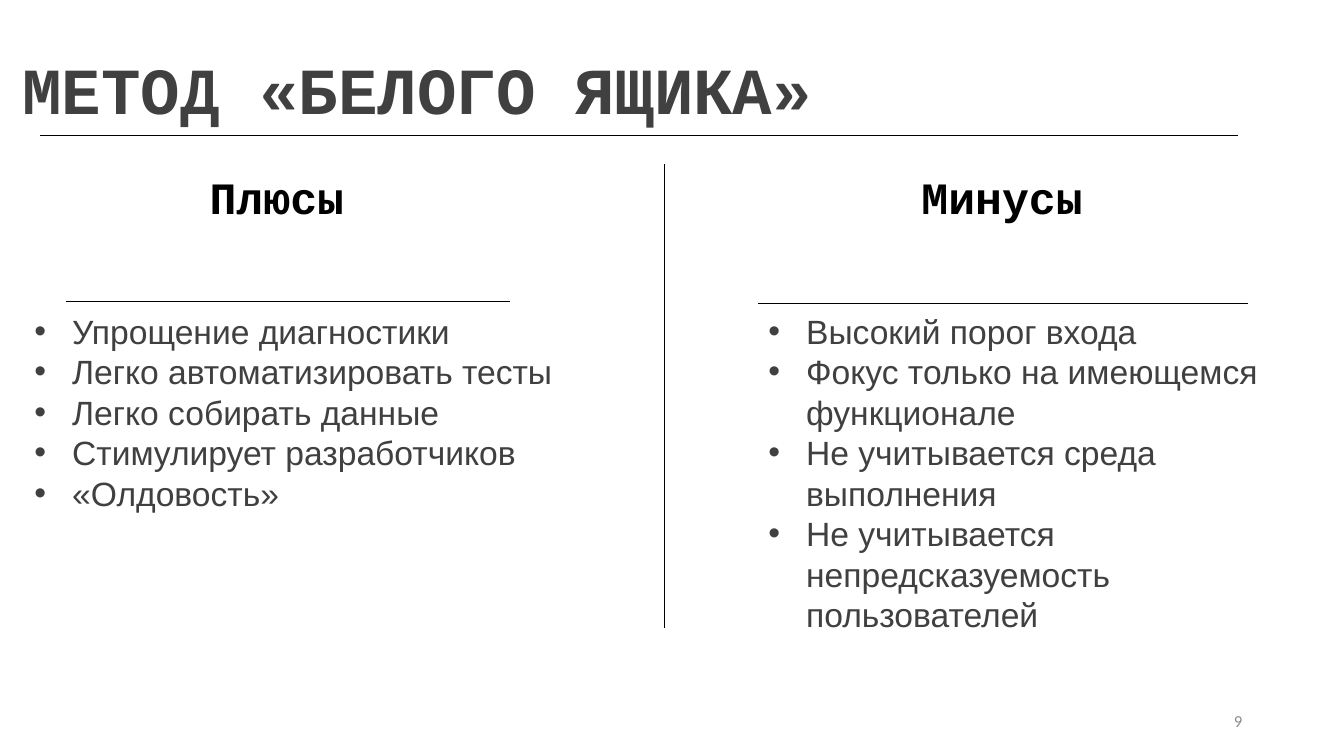
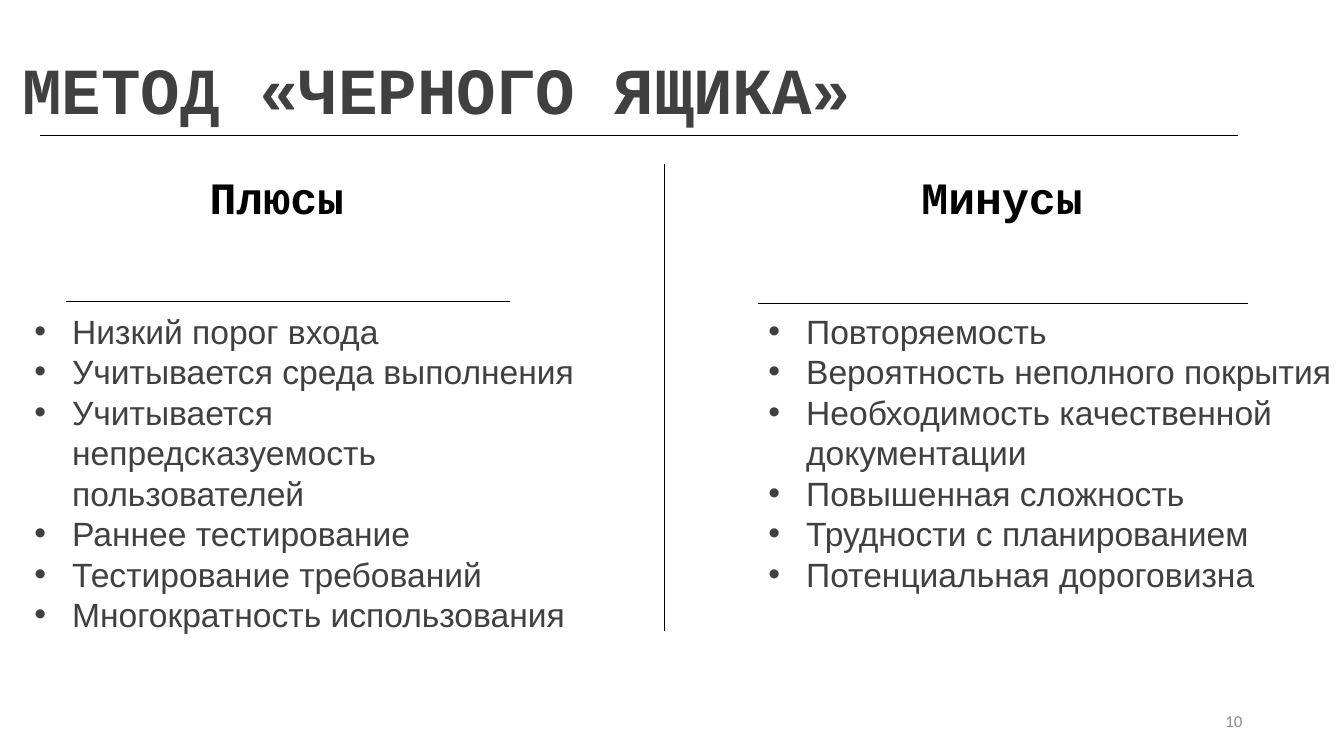
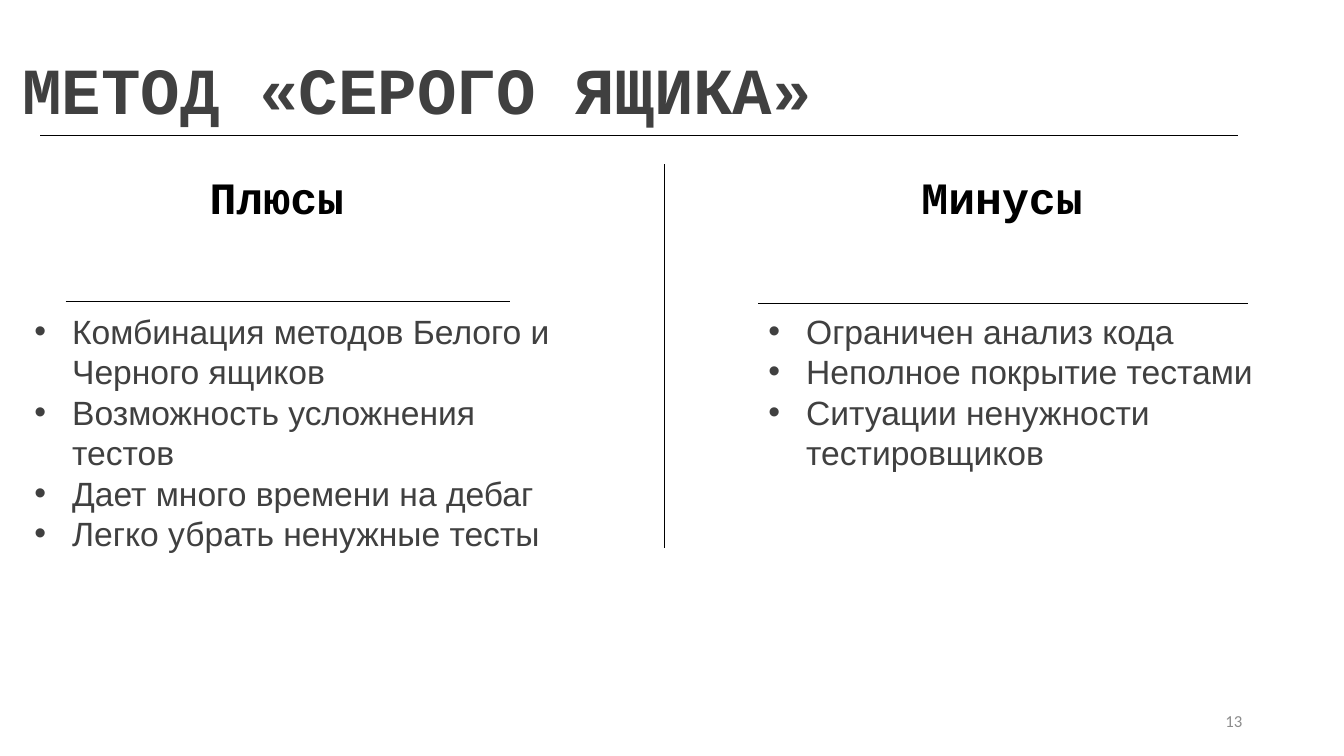
import pptx
import pptx.util
import pptx.dml.color
import pptx.enum.shapes
import pptx.enum.text
import pptx.oxml
import pptx.oxml.ns
from dataclasses import dataclass
from lxml import etree

ALIGN = pptx.enum.text.PP_ALIGN
ANCHOR = pptx.enum.text.MSO_ANCHOR
COMPARISON_LAYOUT = 4

# Content: one entry per slide
SLIDES = [
    {
        "title": "МЕТОД «БЕЛОГО ЯЩИКА»",
        "number": "9",
        "divider_end": 623,
        "pros": [
            "Упрощение диагностики",
            "Легко автоматизировать тесты",
            "Легко собирать данные",
            "Стимулирует разработчиков",
            "«Олдовость»",
        ],
        "cons": [
            "Высокий порог входа",
            "Фокус только на имеющемся функционале",
            "Не учитывается среда выполнения",
            "Не учитывается непредсказуемость пользователей",
        ],
    },
    {
        "title": "МЕТОД «ЧЕРНОГО ЯЩИКА»",
        "number": "10",
        "divider_end": 626,
        "pros": [
            "Низкий порог входа",
            "Учитывается среда выполнения",
            "Учитывается непредсказуемость пользователей",
            "Раннее тестирование",
            "Тестирование требований",
            "Многократность использования",
        ],
        "cons": [
            "Повторяемость",
            "Вероятность неполного покрытия",
            "Необходимость качественной документации",
            "Повышенная сложность",
            "Трудности с планированием",
            "Потенциальная дороговизна",
        ],
    },
    {
        "title": "МЕТОД «СЕРОГО ЯЩИКА»",
        "number": "13",
        "divider_end": 544,
        "pros": [
            "Комбинация методов Белого и Черного ящиков",
            "Возможность усложнения тестов",
            "Дает много времени на дебаг",
            "Легко убрать ненужные тесты",
        ],
        "cons": [
            "Ограничен анализ кода",
            "Неполное покрытие тестами",
            "Ситуации ненужности тестировщиков",
        ],
    },
]

# Columns: placeholder indexes, boxes (left, top, width, height), rule (x1, x2, y)
COLUMNS = [
    {"key": "pros", "heading": "Плюсы ", "heading_index": 1, "list_index": 2,
     "heading_box": (197, 163, 182, 64), "list_box": (24, 303, 556, 374),
     "rule": (65, 506, 299)},
    {"key": "cons", "heading": "Минусы", "heading_index": 3, "list_index": 4,
     "heading_box": (903, 163, 182, 64), "list_box": (752, 303, 579, 353),
     "rule": (752, 1238, 301)},
]

PAGE_SIZE = (1333, 750)
TITLE_BOX = (12, 43, 1200, 89)
NUMBER_BOX = (942, 695, 300, 40)
TITLE_RULE = (40, 134, 1228, 134)
DIVIDER_X, DIVIDER_TOP = 659, 163
LIST_RIGHT_INSET = 7


@dataclass(frozen=True)
class TextStyle:
    font: str
    size: int
    color: str
    bold: bool = False
    align: ALIGN = ALIGN.LEFT
    line_points: float = 0


class Theme:
    background = "FFFFFF"
    line = "000000"
    line_width = 0.5
    title = TextStyle("Courier New", 47, "404040", bold=True)
    heading = TextStyle("Courier New", 32, "000000", bold=True, align=ALIGN.CENTER)
    bullets = TextStyle("Arial", 24, "404040", line_points=28.9)
    number = TextStyle("Calibri", 12, "8C8C8C", align=ALIGN.RIGHT)


def px(length):
    """Turn px, 100 to the inch, into EMU."""
    return pptx.util.Emu(length * 9144)


def rgb(value):
    return pptx.dml.color.RGBColor.from_string(value)


def place(shape, box):
    shape.left, shape.top, shape.width, shape.height = map(px, box)


def write(shape, lines, style, anchor=ANCHOR.TOP, wrap=True):
    frame = shape.text_frame
    frame.text = "\n".join(lines)
    frame.auto_size = pptx.enum.text.MSO_AUTO_SIZE.NONE
    frame.word_wrap = wrap
    frame.vertical_anchor = anchor
    for para in frame.paragraphs:
        para.alignment = style.align
        para.space_before = pptx.util.Pt(0)
        if style.line_points:
            para.line_spacing = pptx.util.Pt(style.line_points)
        para.font.name = style.font
        para.font.size = pptx.util.Pt(style.size)
        para.font.bold = style.bold
        para.font.color.rgb = rgb(style.color)


def add_rule(page, x1, y1, x2, y2):
    straight = pptx.enum.shapes.MSO_CONNECTOR.STRAIGHT
    rule = page.shapes.add_connector(straight, *map(px, (x1, y1, x2, y2)))
    rule.line.color.rgb = rgb(Theme.line)
    rule.line.width = pptx.util.Pt(Theme.line_width)
    etree.SubElement(rule.element.spPr, pptx.oxml.ns.qn("a:effectLst"))


def add_column(page, column, items):
    heading = page.placeholders[column["heading_index"]]
    place(heading, column["heading_box"])
    write(heading, [column["heading"]], Theme.heading, wrap=False)

    bullets = page.placeholders[column["list_index"]]
    place(bullets, column["list_box"])
    write(bullets, items, Theme.bullets)
    bullets.text_frame.margin_right = px(LIST_RIGHT_INSET)

    start, end, y = column["rule"]
    add_rule(page, start, y, end, y)


def add_page(deck, content):
    page = deck.slides.add_slide(deck.slide_layouts[COMPARISON_LAYOUT])

    # Title and its rule
    title = page.shapes.title
    place(title, TITLE_BOX)
    write(title, [content["title"]], Theme.title)
    add_rule(page, *TITLE_RULE)

    # Two columns with a divider between them
    for column in COLUMNS:
        add_column(page, column, content[column["key"]])
    add_rule(page, DIVIDER_X, DIVIDER_TOP, DIVIDER_X, content["divider_end"])

    # Page number
    number = page.shapes.add_textbox(*map(px, NUMBER_BOX))
    write(number, [content["number"]], Theme.number, anchor=ANCHOR.MIDDLE)


def main():
    deck = pptx.Presentation()
    deck.slide_width, deck.slide_height = map(px, PAGE_SIZE)
    background = deck.slide_master.background.fill
    background.solid()
    background.fore_color.rgb = rgb(Theme.background)
    for content in SLIDES:
        add_page(deck, content)
    deck.save("out.pptx")


if __name__ == "__main__":
    main()
